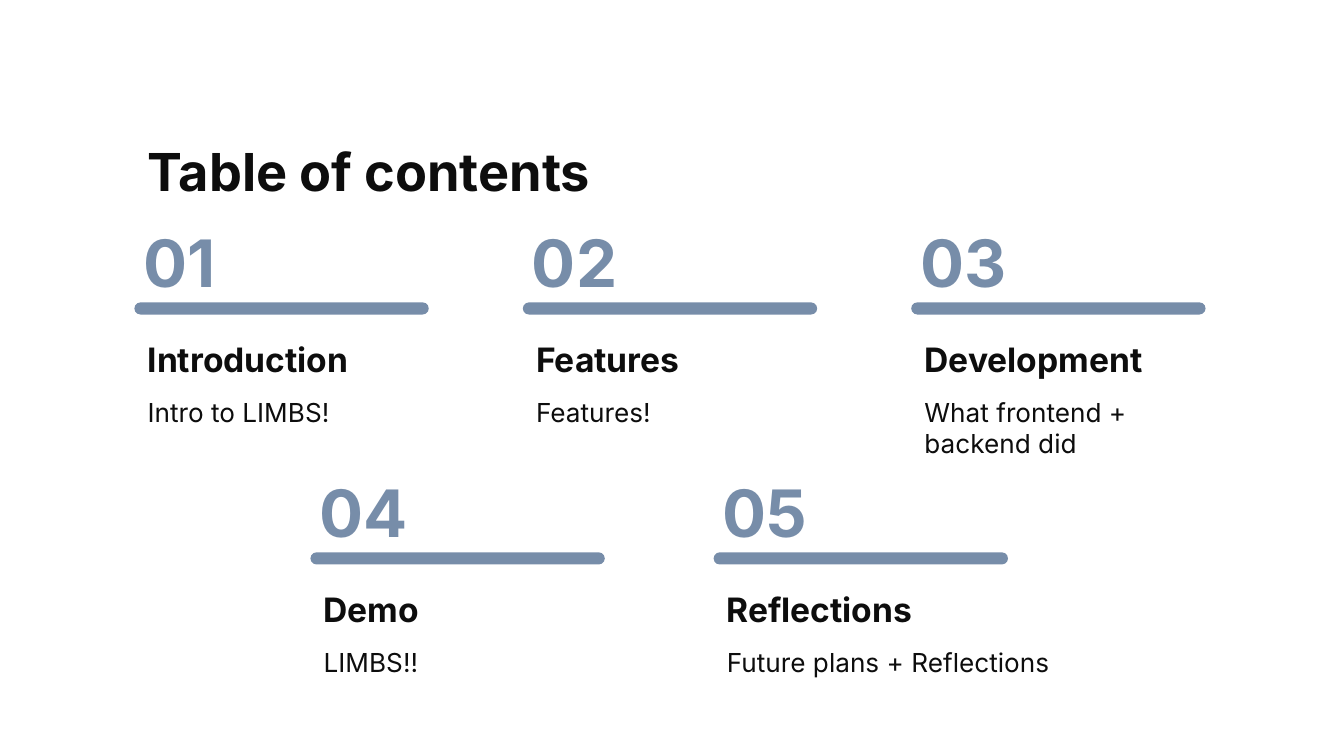
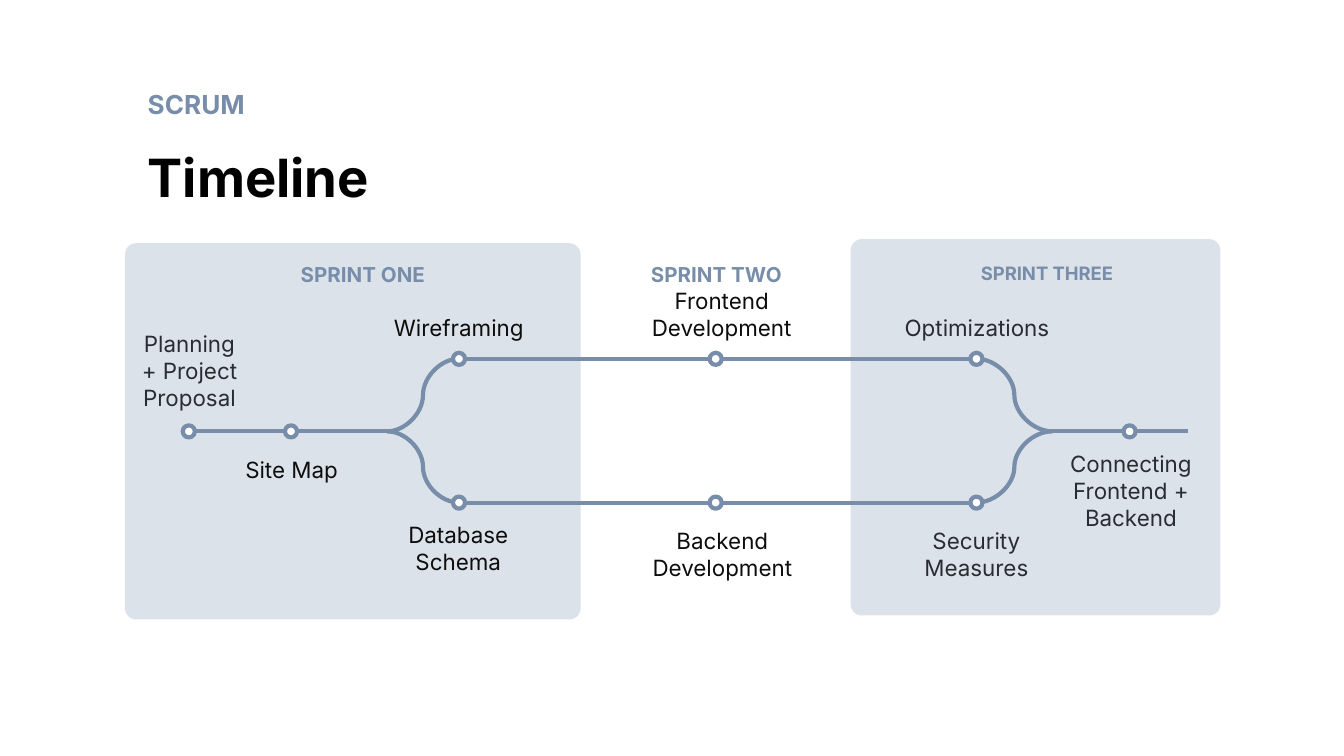
import dataclasses

import pptx
import pptx.dml.color
import pptx.enum.shapes
import pptx.enum.text
import pptx.oxml.ns
import pptx.util
from lxml import etree

RGB = pptx.dml.color.RGBColor
BLUE = RGB(0x77, 0x8D, 0xA9)
INK = RGB(0x0D, 0x0D, 0x0D)
BLACK = RGB(0, 0, 0)
WHITE = RGB(0xFF, 0xFF, 0xFF)
FONT = "Inter"

SHAPE = pptx.enum.shapes.MSO_SHAPE
LINK = pptx.enum.shapes.MSO_CONNECTOR
ALIGN = pptx.enum.text.PP_ALIGN
ANCHOR = pptx.enum.text.MSO_ANCHOR
qn = pptx.oxml.ns.qn

# Square grid: 100 columns across the slide, 56.25 rows down.
WIDE = pptx.util.Inches(10)
HIGH = pptx.util.Inches(5.625)
CELL = WIDE / 100
INSET = CELL


@dataclasses.dataclass
class Box:
    """An area of the slide, in grid cells."""
    x: float
    y: float
    w: float
    h: float

    def inner(self, x, y, w, h):
        return Box(self.x + x, self.y + y, w, h)

    def emu(self):
        return [round(n * CELL) for n in (self.x, self.y, self.w, self.h)]


def fill_text(shape, text, size, color, bold=False, align=ALIGN.LEFT,
              anchor=ANCHOR.TOP, space=None):
    frame = shape.text_frame
    frame.word_wrap = True
    frame.auto_size = pptx.enum.text.MSO_AUTO_SIZE.NONE
    frame.vertical_anchor = anchor
    frame.margin_left = frame.margin_right = round(INSET)
    frame.margin_top = frame.margin_bottom = round(INSET)
    frame.text = text
    for para in frame.paragraphs:
        para.alignment = align
        para.line_spacing = space
        para.font.name = FONT
        para.font.size = pptx.util.Pt(size)
        para.font.bold = bold
        para.font.color.rgb = color


def add_text(slide, box, text, size, color, **style):
    fill_text(slide.shapes.add_textbox(*box.emu()), text, size, color, **style)


def add_title(slide, box, text, size, color, space=None):
    title = slide.shapes.title
    title.left, title.top, title.width, title.height = box.emu()
    fill_text(title, text, size, color, bold=True, anchor=ANCHOR.MIDDLE,
              space=space)


def add_form(slide, kind, box, color, bend=None, alpha=None, edge=None):
    form = slide.shapes.add_shape(kind, *box.emu())
    form.shadow.inherit = False
    form.fill.solid()
    form.fill.fore_color.rgb = color
    if bend is not None:
        form.adjustments[0] = bend
    if alpha is not None:
        tint = form._element.spPr.find(qn("a:solidFill"))[0]
        etree.SubElement(tint, qn("a:alpha"), val=str(alpha * 1000))
    if edge is None:
        form.line.fill.background()
    else:
        form.line.color.rgb = edge
        form.line.width = pptx.util.Pt(2.25)


def add_line(slide, box, start, end, kind=LINK.STRAIGHT):
    ends = [round(n * CELL) for x, y in (start, end)
            for n in (box.x + x, box.y + y)]
    line = slide.shapes.add_connector(kind, *ends)
    line.line.color.rgb = BLUE
    line.line.width = pptx.util.Pt(2.25)
    etree.SubElement(line._element.spPr, qn("a:effectLst"))


def add_card(slide, box, number, head, body):
    add_text(slide, box.inner(-0.3, 0, box.w, 11), number, 35, BLUE,
             bold=True, anchor=ANCHOR.BOTTOM)
    add_form(slide, SHAPE.ROUNDED_RECTANGLE, box.inner(0, 10.1, 21.9, 0.9),
             BLUE, bend=0.5)
    add_text(slide, box.inner(0, 12.2, box.w, 4.3), head, 18, INK,
             bold=True, anchor=ANCHOR.MIDDLE)
    add_text(slide, box.inner(0, 16.1, box.w, 6.3), body, 14, INK)


def add_index(slide):
    add_title(slide, Box(10, 10, 84.3, 6.3), "Table of contents", 28, INK,
              space=0.8)
    rows = [
        (10, 28.9, [("Introduction", "Intro to LIMBS!"),
                    ("Features", "Features!"),
                    ("Development", "What frontend +\nbackend did")]),
        (23.1, 30, [("Demo", "LIMBS!!"),
                    ("Reflections", "Future plans + Reflections")]),
    ]
    count = 0
    for row, (left, pitch, cards) in enumerate(rows):
        for col, (head, body) in enumerate(cards):
            count += 1
            box = Box(left + col * pitch, 12.4 + row * 18.6, 26.2, 22.4)
            add_card(slide, box, f"{count:02}", head, body)


def add_labels(slide, box, labels):
    for text, *area in labels:
        add_text(slide, box.inner(*area), text, 12, INK, align=ALIGN.CENTER)


def add_flow(slide, box):
    """Draw the sprints, with a track that forks in two and joins again."""
    upper, mid, lower = 8.9, 14.3, 19.6
    first, site, split, build, merge, last = 4.75, 12.35, 24.85, 43.95, 63.35, 74.75
    fork, join, finish = 19.5, 69, 79.1

    for rail in (upper, lower):
        add_line(slide, box, (split, rail), (merge, rail))
    add_line(slide, box, (join, mid), (finish, mid))
    # These labels lie beneath the tinted panels.
    add_labels(slide, box, [
        ("Planning + Project Proposal", -0.3, 5.8, 10.2, 7.8),
        ("Security Measures", 55.6, 20.4, 15.5, 3.9),
        ("Optimizations", 55, 4.6, 16.8, 3.9),
        ("Connecting Frontend + Backend", 66.3, 14.7, 17.1, 6.3),
    ])

    for area in ((0, 0.3, 33.9, 28), (54, 0, 27.5, 28)):
        add_form(slide, SHAPE.ROUNDED_RECTANGLE, box.inner(*area), BLUE,
                 bend=0.03, alpha=25)

    add_line(slide, box, (first, mid), (fork, mid))
    for rail in (upper, lower):
        add_line(slide, box, (fork, mid), (split, rail), LINK.CURVE)
        add_line(slide, box, (join, mid), (merge, rail), LINK.CURVE)

    dots = [(x, mid) for x in (first, site, last)]
    dots += [(x, y) for x in (split, build, merge) for y in (upper, lower)]
    size = 0.9
    for x, y in dots:
        spot = box.inner(x - size / 2, y - size / 2, size, size)
        add_form(slide, SHAPE.OVAL, spot, WHITE, edge=BLUE)

    add_labels(slide, box, [
        ("Site Map", 7.8, 15.1, 9.2, 3.9),
        ("Wireframing", 19, 4.6, 11.7, 3.9),
        ("Database Schema", 18.7, 20, 12.2, 6.3),
        ("Frontend Development", 36, 2.6, 16.8, 6.3),
        ("Backend Development", 36.5, 20.4, 15.9, 5.6),
    ])
    for name, left, points in (("ONE", 11.6, 11), ("TWO", 37.9, 11),
                               ("THREE", 62.5, 9.9)):
        add_text(slide, box.inner(left, 0.7, 12.2, 3.9), f"SPRINT {name}",
                 points, BLUE, bold=True, align=ALIGN.CENTER)


def add_plan(slide):
    add_title(slide, Box(10, 10, 80, 6.3), "Timeline", 28.2, BLACK)
    add_text(slide, Box(10, 5.6, 14.8, 4.4), "SCRUM", 14, BLUE, bold=True)
    add_flow(slide, Box(9.3, 17.8, 81.5, 28.3))


def main():
    deck = pptx.Presentation()
    deck.slide_width, deck.slide_height = WIDE, HIGH
    title_only = deck.slide_layouts[5]
    for build in (add_index, add_plan):
        build(deck.slides.add_slide(title_only))
    deck.save("out.pptx")


if __name__ == "__main__":
    main()
